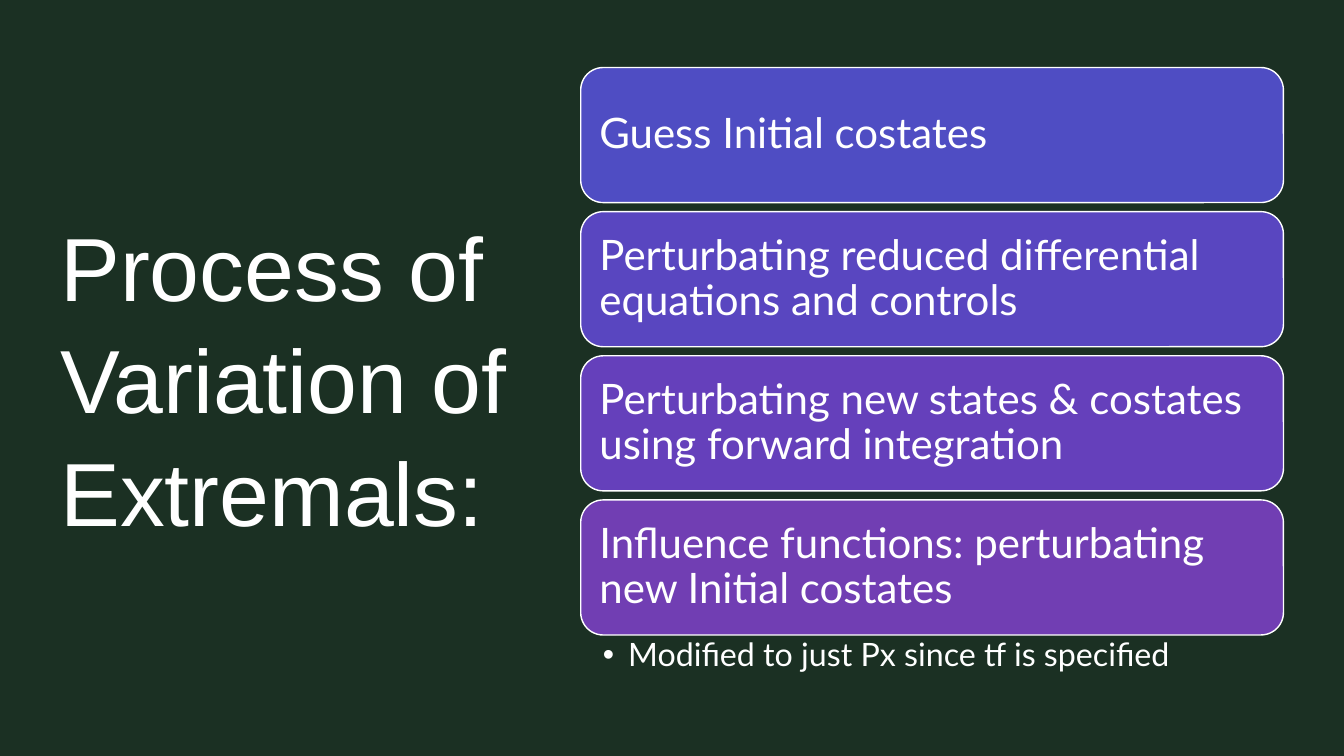
from dataclasses import dataclass

from lxml.etree import SubElement
from pptx import Presentation
from pptx.dml.color import RGBColor
from pptx.enum.shapes import MSO_SHAPE
from pptx.enum.text import MSO_ANCHOR, PP_ALIGN
from pptx.oxml.ns import qn
from pptx.util import Inches, Pt


@dataclass(frozen=True)
class Theme:
    background: str = "1B3023"
    light: str = "FFFFFF"
    steps: tuple = ("4F4DC3", "5946C0", "6540BB", "713EB3")
    title_font: str = "Arial"
    body_font: str = "Lato"
    title_size: int = 64
    step_size: int = 30
    note_size: int = 23


theme = Theme()


def color(code):
    return RGBColor.from_string(code)


def write(box, text, font, size, spacing, anchor, insets):
    """Fill a box with one left-aligned paragraph and return it."""
    frame = box.text_frame
    frame.word_wrap = True
    frame.vertical_anchor = anchor
    (frame.margin_left, frame.margin_top,
     frame.margin_right, frame.margin_bottom) = map(Inches, insets)
    para = frame.paragraphs[0]
    para.alignment = PP_ALIGN.LEFT
    para.line_spacing = spacing
    span = para.add_run()
    span.text = text
    span.font.name = font
    span.font.size = Pt(size)
    span.font.color.rgb = color(theme.light)
    return para


# Page
deck = Presentation()
deck.slide_width, deck.slide_height = Inches(13.33), Inches(7.5)
page = deck.slides.add_slide(deck.slide_layouts[6])
page.background.fill.solid()
page.background.fill.fore_color.rgb = color(theme.background)

# Title in the left column
title = page.shapes.add_textbox(Inches(0.6), Inches(1.66), Inches(4.96), Inches(4.13))
write(title, "Process of Variation of Extremals:", theme.title_font,
      theme.title_size, 1.05, MSO_ANCHOR.MIDDLE, (0, 0, 0, 0))

# Steps stacked in the right column
column_left, column_width = 5.76, 6.97
first_row, row_height, row_pitch = 0.67, 1.34, 1.43
steps = (
    "Guess Initial costates",
    "Perturbating reduced differential equations and controls",
    "Perturbating new states & costates using forward integration",
    "Influence functions: perturbating new Initial costates",
)
for row, (text, fill) in enumerate(zip(steps, theme.steps)):
    step = page.shapes.add_shape(
        MSO_SHAPE.ROUNDED_RECTANGLE, Inches(column_left),
        Inches(first_row + row * row_pitch), Inches(column_width), Inches(row_height))
    step.shadow.inherit = False
    step.fill.solid()
    step.fill.fore_color.rgb = color(fill)
    step.line.color.rgb = color(theme.light)
    step.line.width = Pt(1)
    write(step, text, theme.body_font, theme.step_size, 0.9,
          MSO_ANCHOR.MIDDLE, (0.12, 0.12, 0.12, 0.12))

# Bulleted note under the last step
note_top = first_row + (len(steps) - 1) * row_pitch + row_height
note = page.shapes.add_textbox(
    Inches(column_left), Inches(note_top), Inches(column_width), Inches(0.54))
para = write(note, "Modified to just Px since tf is specified", theme.body_font,
             theme.note_size, 0.9, MSO_ANCHOR.TOP, (0.22, 0.04, 0.23, 0.04))
para.level = 1
properties = para._p.get_or_add_pPr()
properties.set("marL", str(Inches(0.25)))
properties.set("indent", str(Inches(-0.25)))
SubElement(properties, qn("a:buFont")).set("typeface", theme.title_font)
SubElement(properties, qn("a:buChar")).set("char", "•")

deck.save("out.pptx")
